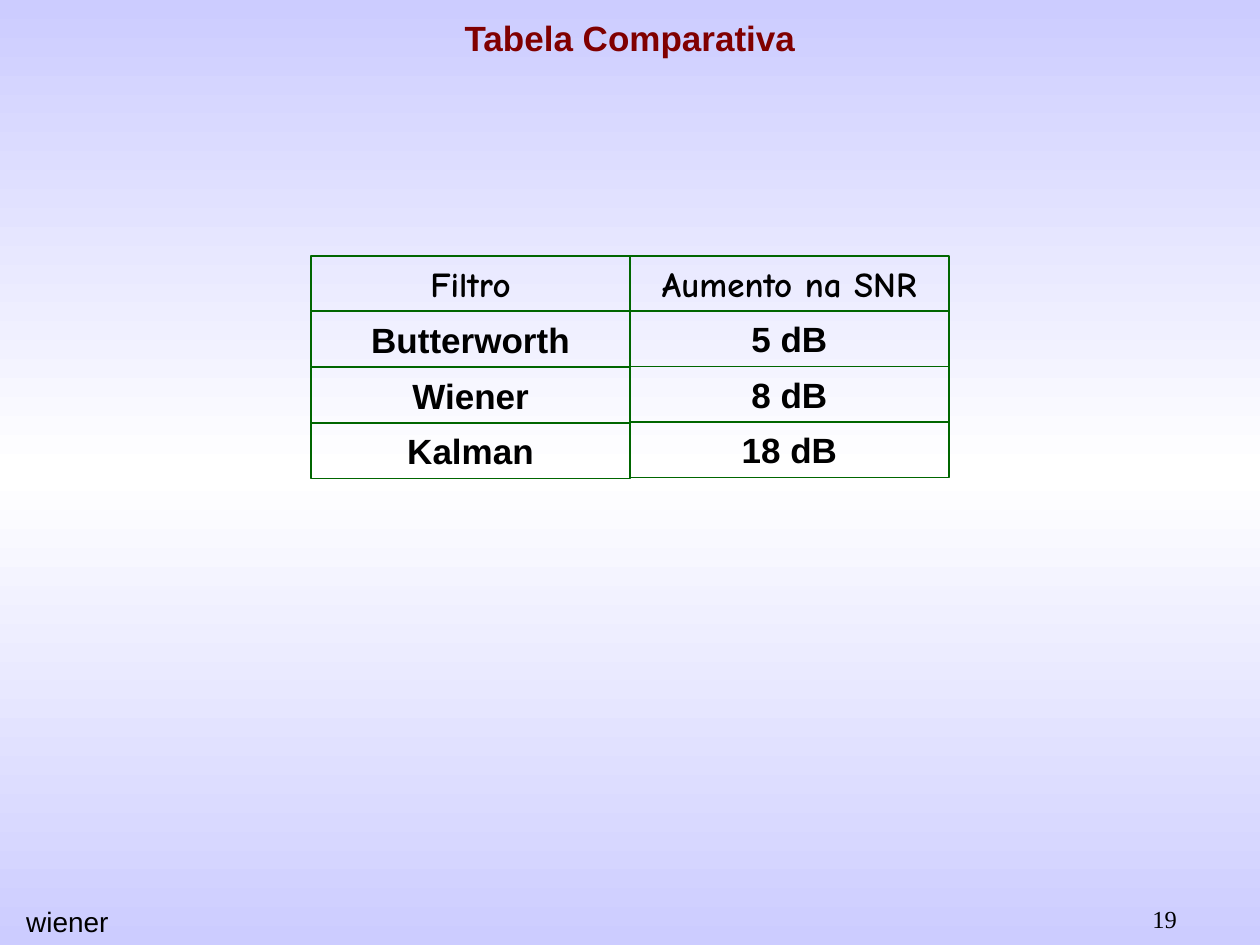
from copy import deepcopy as clone

from pptx import Presentation as Deck
from pptx.dml.color import RGBColor as Rgb
from pptx.enum.shapes import MSO_SHAPE as Shape
from pptx.enum.text import (MSO_ANCHOR as Anchor, MSO_AUTO_SIZE as Fit,
                            PP_ALIGN as Align)
from pptx.oxml.ns import qn
from pptx.util import Inches, Pt

WIDE, HIGH = Inches(10), Inches(7.5)
COLS, ROWS = 100, 75
HUES = {"edge": "CCCCFF", "mid": "FFFFFF", "title": "800000",
        "line": "006600", "text": "000000"}
LEFT, TOP, CELL_W, CELL_H = 24.7, 20.3, 25.3, 4.4
DATA = [(4.43, ["Filtro", "Butterworth", "Wiener", "Kalman"]),
        (4.4, ["Aumento na SNR", "5 dB", "8 dB", "18 dB"])]


def area(left, top, wide, high):
    unit_x, unit_y = WIDE / COLS, HIGH / ROWS
    return (int(left * unit_x), int(top * unit_y),
            int(wide * unit_x), int(high * unit_y))


def style(para, size, face="Arial", hue="text", bold=False, align=Align.LEFT):
    para.alignment = align
    font = para.font
    font.size, font.name, font.bold = Pt(size), face, bold
    font.color.rgb = Rgb.from_string(HUES[hue])


def write(frame, text, size, wrap=True, anchor=Anchor.MIDDLE, **look):
    frame.word_wrap = wrap
    frame.vertical_anchor = anchor
    frame.text = text
    style(frame.paragraphs[0], size, **look)


def paint_back(slide):
    fill = slide.background.fill
    fill.gradient()
    fill.gradient_angle = 270
    stops = slide.element.find(".//" + qn("a:gsLst"))
    stops.insert(1, clone(stops[0]))
    for stop, (pos, hue) in zip(fill.gradient_stops,
                                [(0, "edge"), (0.5, "mid"), (1, "edge")]):
        stop.position = pos
        stop.color.rgb = Rgb.from_string(HUES[hue])


def add_title(slide, text):
    title = slide.shapes.title
    title.left, title.top, title.width, title.height = area(0, 0.1, 100, 5.8)
    write(title.text_frame, text, 20, hue="title", bold=True,
          align=Align.CENTER)


def add_label(slide, text, place, size, **look):
    box = slide.shapes.add_textbox(*area(*place))
    write(box.text_frame, text, size, **look)


def add_cell(group, text, place, face):
    cell = group.shapes.add_shape(Shape.RECTANGLE, *area(*place))
    cell.shadow.inherit = False
    cell.fill.background()
    cell.line.color.rgb = Rgb.from_string(HUES["line"])
    cell.line.width = Pt(1)
    write(cell.text_frame, text, 20, face=face, bold=True, align=Align.CENTER)
    cell.text_frame.auto_size = Fit.SHAPE_TO_FIT_TEXT


def add_grid(slide, data):
    group = slide.shapes.add_group_shape()
    for col, (step, texts) in enumerate(data):
        for row, text in enumerate(texts):
            place = LEFT + col * CELL_W, TOP + row * step, CELL_W, CELL_H
            add_cell(group, text, place, "Arial" if row else "Comic Neue")


def main():
    deck = Deck()
    deck.slide_width, deck.slide_height = WIDE, HIGH
    slide = deck.slides.add_slide(deck.slide_layouts[5])
    paint_back(slide)
    add_title(slide, "Tabela Comparativa")
    add_label(slide, "wiener", (1.1, 71.3, 8.5, 3.7), 16, anchor=Anchor.TOP)
    add_label(slide, "19", (73.6, 71.3, 20.8, 3.3), 14, wrap=False,
              face="Times New Roman", align=Align.RIGHT)
    add_grid(slide, DATA)
    deck.save("out.pptx")


if __name__ == "__main__":
    main()
